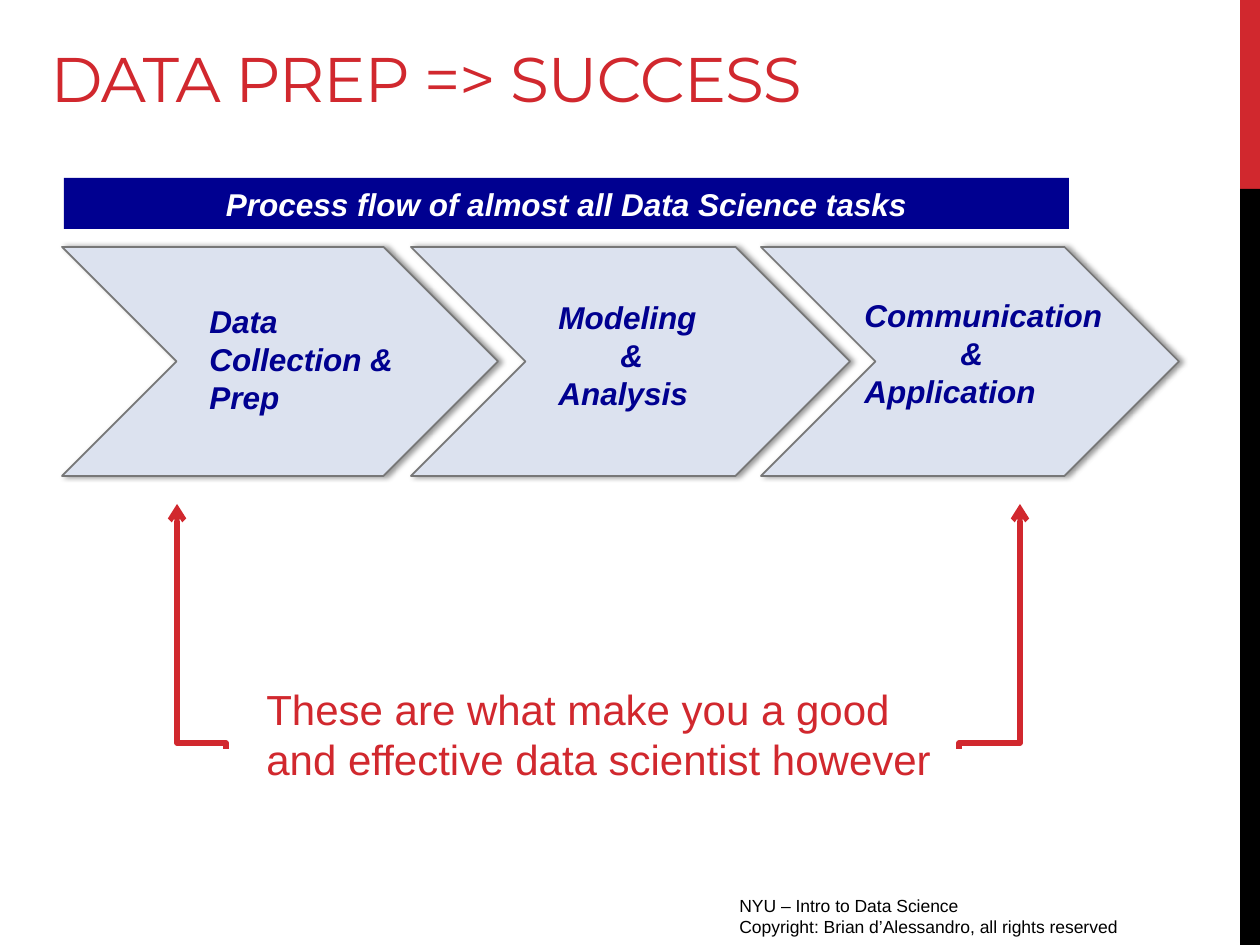
from dataclasses import dataclass

from lxml import etree
from pptx import Presentation
from pptx.dml.color import RGBColor
from pptx.enum.shapes import MSO_CONNECTOR, MSO_SHAPE
from pptx.enum.text import MSO_ANCHOR, PP_ALIGN
from pptx.oxml import parse_xml
from pptx.oxml.ns import nsdecls, qn
from pptx.util import Emu, Pt

RECT, CHEVRON = MSO_SHAPE.RECTANGLE, MSO_SHAPE.CHEVRON
ELBOW = MSO_CONNECTOR.ELBOW
LEFT, CENTER = PP_ALIGN.LEFT, PP_ALIGN.CENTER
TOP, MIDDLE, BOTTOM = MSO_ANCHOR.TOP, MSO_ANCHOR.MIDDLE, MSO_ANCHOR.BOTTOM
TITLE_ONLY = 5


@dataclass(frozen=True)
class Theme:
    red: str = "D1282E"
    navy: str = "000090"
    pale: str = "DCE2EF"
    grey: str = "777777"
    black: str = "000000"
    white: str = "FFFFFF"
    body: str = "Arial"
    head: str = "Montserrat"
    title_size: int = 36
    message_size: int = 24
    step_size: int = 18
    footer_size: int = 10


T = Theme()
STEP_FONT = {"name": T.body, "size": Pt(T.step_size), "bold": True, "italic": True}


def px(n):
    return Emu(round(n * 914400 / 126))


def rgb(code):
    return RGBColor.from_string(code)


def write(tf, lines, font, color, align=LEFT, anchor=TOP):
    """Fill a text frame; each line is a (text, indent in px) pair."""
    tf.word_wrap, tf.vertical_anchor = True, anchor
    for i, (text, indent) in enumerate(lines):
        p = tf.paragraphs[0] if i == 0 else tf.add_paragraph()
        p.alignment = align
        if indent:
            p._p.get_or_add_pPr().set("marL", str(px(indent)))
        r = p.add_run()
        r.text = text
        for name, value in font.items():
            setattr(r.font, name, value)
        r.font.color.rgb = rgb(color)


def add_text(s, box, lines, font, color):
    tb = s.shapes.add_textbox(*map(px, box))
    write(tb.text_frame, lines, font, color)


def add_block(s, kind, box, fill, line=None):
    sp = s.shapes.add_shape(kind, *map(px, box))
    sp.shadow.inherit = False
    sp.fill.solid()
    sp.fill.fore_color.rgb = rgb(fill)
    if line:
        sp.line.color.rgb = rgb(line)
        sp.line.width = Pt(1)
    else:
        sp.line.fill.background()
    return sp


def add_shadow(sp):
    effects = sp._element.spPr.find(qn("a:effectLst"))
    effects.append(parse_xml(
        f'<a:outerShdw {nsdecls("a")} blurRad="{Pt(3.1)}" dist="{Pt(1.8)}" dir="0">'
        f'<a:srgbClr val="{T.black}"><a:alpha val="40000"/></a:srgbClr></a:outerShdw>'))


def side_bar(s, x, y, w, h):
    split = h // 5
    add_block(s, RECT, (x, y, w, split), T.red)
    add_block(s, RECT, (x, y + split, w, h - split), T.black)


def title(s, x, y, w, h):
    sp = s.shapes.title
    sp.left, sp.top, sp.width, sp.height = map(px, (x, y, w, h))
    font = {"name": T.head, "size": Pt(T.title_size)}
    write(sp.text_frame, [("DATA PREP => SUCCESS", 0)], font, T.red, anchor=BOTTOM)
    sp.text_frame.paragraphs[0].runs[0].font._element.set("spc", "-60")


def process_flow(s, x, y):
    # Banner
    sp = add_block(s, RECT, (x + 2, y, 1005, 51), T.navy)
    write(sp.text_frame, [("Process flow of almost all Data Science tasks", 0)],
          STEP_FONT, T.white, CENTER, MIDDLE)
    # Steps: chevron offset and width, label box, lines
    steps = [
        (0, 436, (135, 118, 270, 127), [("Data", 0), ("Collection & Prep", 0)]),
        (349, 439, (484, 114, 184, 165),
         [("Modeling", 0), ("&", 62), ("Analysis", 0)]),
        (699, 418, (790, 112, 280, 127),
         [("Communication", 0), ("&", 96), ("Application", 0)]),
    ]
    for dx, w, _, _ in steps:
        add_shadow(add_block(s, CHEVRON, (x + dx, y + 69, w, 229), T.pale, T.grey))
    for _, _, (dx, dy, w, h), lines in steps:
        add_text(s, (x + dx, y + dy, w, h), lines, STEP_FONT, T.navy)


def elbow_arrow(s, x1, y1, x2, y2):
    """Short sideways leg from (x1, y1), then straight up to (x2, y2)."""
    leftward = x2 < x1
    w, h = y1 - y2, abs(x2 - x1)
    x, y = (x1 + x2 - w) / 2, (y1 + y2 - h) / 2
    start, end = (x, x + w) if leftward else (x + w, x)
    c = s.shapes.add_connector(ELBOW, *map(px, (start, y + h, end, y)))
    c.line.color.rgb = rgb(T.red)
    c.line.width = Pt(3)
    spPr = c._element.spPr
    spPr.find(qn("a:xfrm")).set("rot", str((270 if leftward else 90) * 60000))
    guides = spPr.find(qn("a:prstGeom")).get_or_add_avLst()
    etree.SubElement(guides, qn("a:gd"), name="adj1", fmla="val 2400")
    etree.SubElement(c.line._get_or_add_ln(), qn("a:tailEnd"), type="arrow")
    etree.SubElement(spPr, qn("a:effectLst"))


def message(s, x, y, w, h):
    text = "These are what make you a good and effective data scientist however"
    font = {"name": T.body, "size": Pt(T.message_size)}
    add_text(s, (x, y, w, h), [(text, 0)], font, T.red)
    # Arrows from both sides up to the first and last step
    foot, tip = y + 72, y - 173
    elbow_arrow(s, x - 28, foot, x - 77, tip)
    elbow_arrow(s, x + w, foot, x + w + 61, tip)


def footer(s, x, y, w, h):
    lines = [("NYU – Intro to Data Science", 0),
             ("Copyright: Brian d’Alessandro, all rights reserved", 0)]
    font = {"name": T.body, "size": Pt(T.footer_size)}
    add_text(s, (x, y, w, h), lines, font, T.black)


def main():
    prs = Presentation()
    prs.slide_width, prs.slide_height = px(1260), px(945)
    s = prs.slides.add_slide(prs.slide_layouts[TITLE_ONLY])
    side_bar(s, 1240, 0, 20, 945)
    footer(s, 727, 889, 473, 39)
    title(s, 38, -38, 1157, 159)
    process_flow(s, 62, 178)
    message(s, 254, 677, 705, 115)
    prs.save("out.pptx")


if __name__ == "__main__":
    main()
